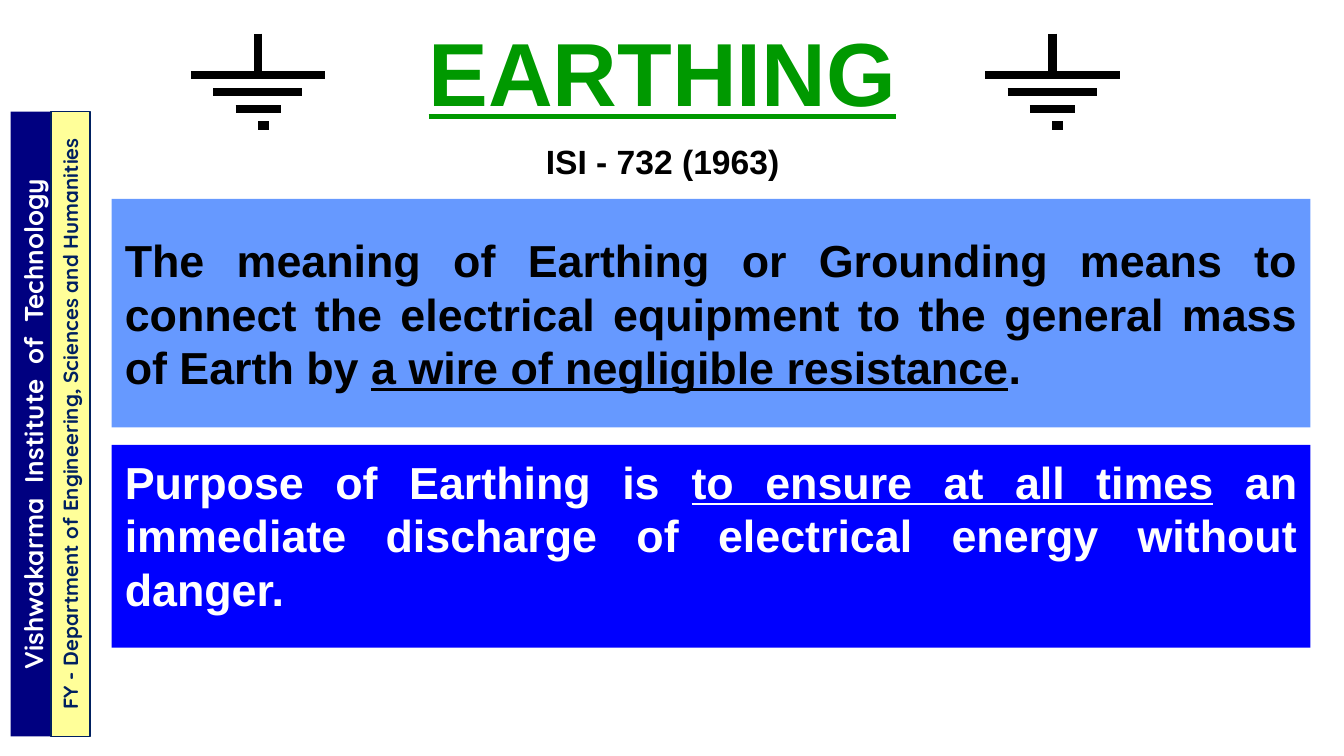
from dataclasses import dataclass
from pptx import Presentation
from pptx.dml.color import RGBColor as Rgb
from pptx.enum.shapes import MSO_CONNECTOR as Conn, MSO_SHAPE as Shape
from pptx.enum.text import MSO_ANCHOR as Anchor, PP_ALIGN as Align
from pptx.oxml.ns import qn
from pptx.util import Inches, Pt
from lxml.etree import SubElement


@dataclass(frozen=True)
class Theme:
    font: str = "Arial"
    side: str = "Quicksand"
    black: str = "000000"
    white: str = "FFFFFF"
    green: str = "009900"
    sky: str = "6699FF"
    blue: str = "0000FF"
    navy: str = "000080"
    ink: str = "002060"
    cream: str = "FFFF99"
    head: int = 48
    body: int = 24
    sub: int = 18
    name: int = 14
    dept: int = 11
    bar: float = 4.5


T = Theme()


def add_run(par, text, size, color, font=T.font, under=False):
    run = par.add_run()
    run.text = text
    face = run.font
    face.name, face.size, face.bold = font, Pt(size), True
    face.underline = under
    face.color.rgb = Rgb.from_string(color)


def add_rect(slide, box, fill, line=None):
    rect = slide.shapes.add_shape(Shape.RECTANGLE, *map(Inches, box))
    rect.shadow.inherit = False
    rect.fill.solid()
    rect.fill.fore_color.rgb = Rgb.from_string(fill)
    if line:
        rect.line.color.rgb = Rgb.from_string(line)
        rect.line.width = Pt(0.75)
    else:
        rect.line.fill.background()
    return rect


def add_title(slide, box):
    frame = slide.shapes.add_textbox(*map(Inches, box)).text_frame
    frame.word_wrap = False
    frame.vertical_anchor = Anchor.MIDDLE
    head, sub = frame.paragraphs[0], frame.add_paragraph()
    head.alignment = sub.alignment = Align.CENTER
    sub.space_before = Pt(T.sub / 2)
    add_run(head, "EARTHING", T.head, T.green, under=True)
    add_run(sub, "ISI - 732 (1963)", T.sub, T.black)


def add_panel(slide, box, fill, color, parts, bottom):
    frame = add_rect(slide, box, fill).text_frame
    frame.word_wrap = True
    frame.vertical_anchor = Anchor.MIDDLE
    frame.margin_bottom = Inches(bottom)
    par = frame.paragraphs[0]
    par.alignment = Align.JUSTIFY
    for text, under in parts:
        add_run(par, text, T.body, color, under=under)


def add_earth(slide, left, top):
    group = slide.shapes.add_group_shape()
    bars = [(0.5, 0, 0.5, 0.31)]
    for i, end in enumerate((1, 0.83, 0.67, 0.58)):
        level = 0.31 + i * 0.125
        bars.append((i / 6, level, end, level))
    for x1, y1, x2, y2 in bars:
        ends = (left + x1, top + y1, left + x2, top + y2)
        bar = group.shapes.add_connector(Conn.STRAIGHT, *map(Inches, ends))
        bar.line.color.rgb = Rgb.from_string(T.black)
        bar.line.width = Pt(T.bar)
        SubElement(bar._element.spPr, qn("a:effectLst"))


def add_strip(shapes, box, text, size, color, fill, line=None):
    left, top, width, height = box
    turned = (left + (width - height) / 2, top + (height - width) / 2, height, width)
    strip = add_rect(shapes, turned, fill, line)
    strip.rotation = 270
    frame = strip.text_frame
    frame.word_wrap = True
    frame.vertical_anchor = Anchor.TOP
    par = frame.paragraphs[0]
    par.alignment = Align.CENTER
    add_run(par, text, size, color, T.side)


def main():
    deck = Presentation()
    deck.slide_width = Inches(10)
    deck.slide_height = deck.slide_width * 9 // 16
    slide = deck.slides.add_slide(deck.slide_layouts[6])
    add_title(slide, (3.07, 0.06, 3.72, 1.36))
    add_panel(slide, (0.83, 1.48, 8.92, 1.7), T.sky, T.black, (
        ("The meaning of Earthing or Grounding means to connect the electrical "
         "equipment to the general mass of Earth by ", False),
        ("a wire of negligible resistance", True),
        (".", False)), 0.05)
    add_panel(slide, (0.83, 3.31, 8.92, 1.51), T.blue, T.white, (
        ("Purpose of Earthing is ", False),
        ("to ensure at all times", True),
        (" an immediate discharge of electrical energy without danger.", False)),
        0.22)
    for left in (1.42, 7.33):
        add_earth(slide, left, 0.25)
    group = slide.shapes.add_group_shape()
    add_strip(group, (0.08, 0.83, 0.34, 4.65), "Vishwakarma  Institute  of  Technology",
              T.name, T.white, T.navy)
    add_strip(group, (0.38, 0.83, 0.29, 4.65),
              "FY - Department of Engineering, Sciences and Humanities",
              T.dept, T.ink, T.cream, T.ink)
    deck.save("out.pptx")


if __name__ == "__main__":
    main()
